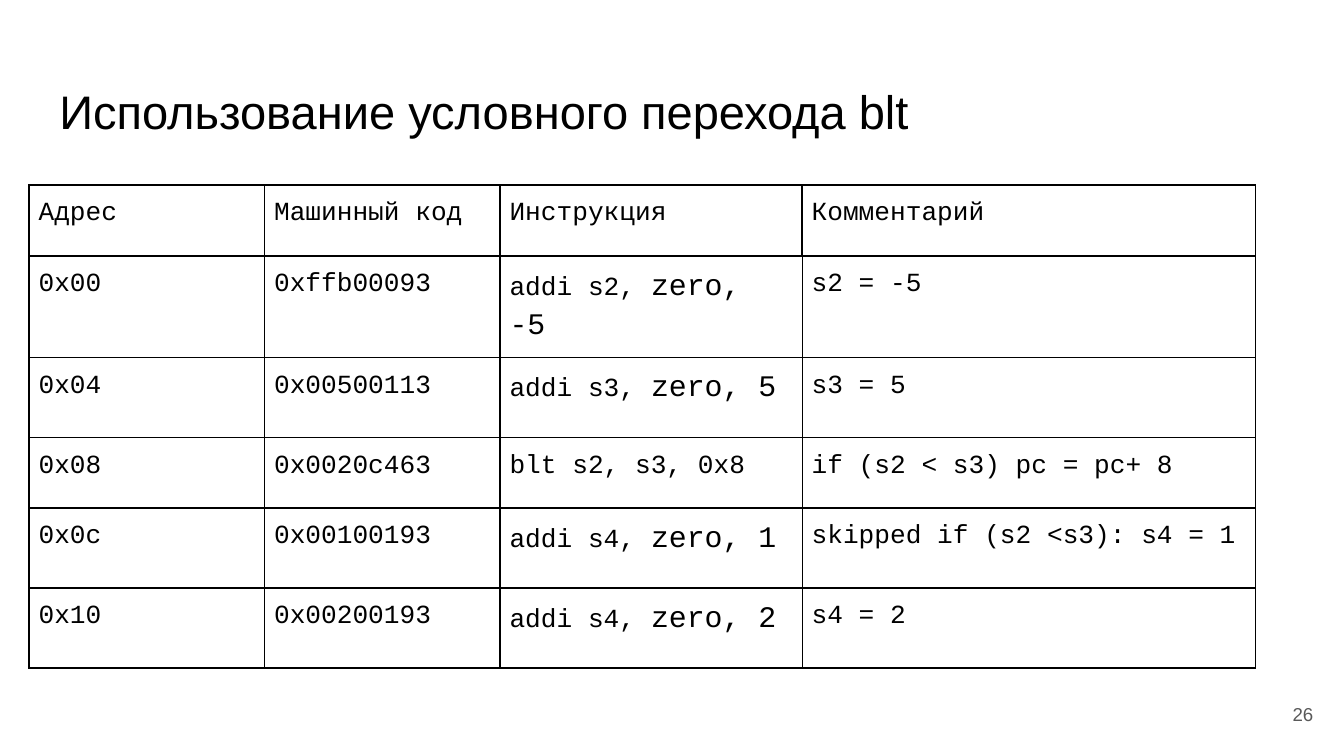
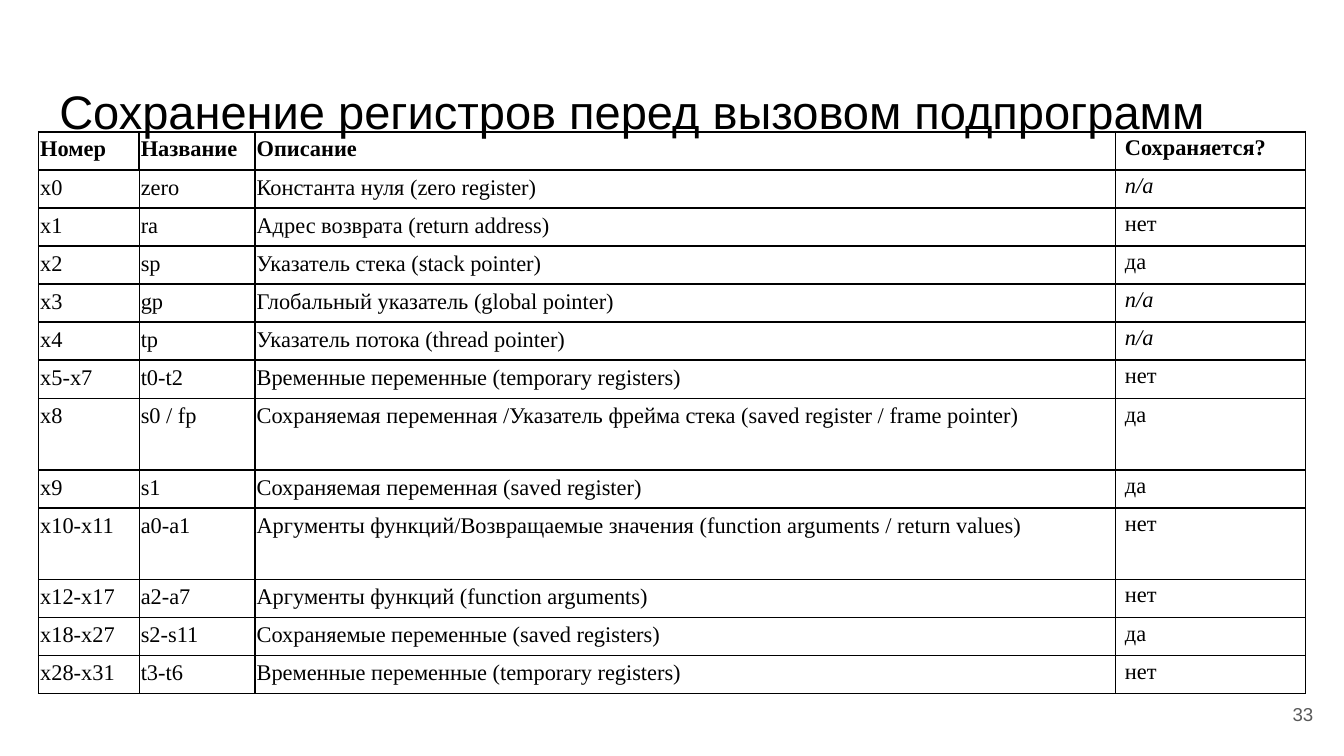
from lxml import etree
from pptx import Presentation
from pptx.dml.color import RGBColor
from pptx.enum import text as text_enum
from pptx.oxml import ns
from pptx.util import Cm, Pt

BLACK, GREY = "000000", "595959"
TITLE_BOX = (0.87, 1.24, 23.67, 1.59)
NUMBER_BOX = (23.55, 12.95, 1.52, 1.09)
ALIGN = text_enum.PP_ALIGN
ANCHOR = text_enum.MSO_ANCHOR

INSTRUCTIONS = [
    ("Адрес", "Машинный код", "Инструкция", "Комментарий"),
    ("0x00", "0xffb00093", "addi s2, zero, -5", "s2 = -5"),
    ("0x04", "0x00500113", "addi s3, zero, 5", "s3 = 5"),
    ("0x08", "0x0020c463", "blt s2, s3, 0x8", "if (s2 < s3) pc = pc+ 8"),
    ("0x0c", "0x00100193", "addi s4, zero, 1", "skipped if (s2 <s3): s4 = 1"),
    ("0x10", "0x00200193", "addi s4, zero, 2", "s4 = 2"),
]

REGISTERS = [
    ("Номер", "Название", "Описание", "Сохраняется?"),
    ("x0", "zero", "Константа нуля (zero register)", "n/a"),
    ("x1", "ra", "Адрес возврата (return address)", "нет"),
    ("x2", "sp", "Указатель стека (stack pointer)", "да"),
    ("x3", "gp", "Глобальный указатель (global pointer)", "n/a"),
    ("x4", "tp", "Указатель потока (thread pointer)", "n/a"),
    ("x5-x7", "t0-t2", "Временные переменные (temporary registers)", "нет"),
    ("x8", "s0 / fp", "Сохраняемая переменная /Указатель фрейма стека "
     "(saved register / frame pointer)", "да"),
    ("x9", "s1", "Сохраняемая переменная (saved register)", "да"),
    ("x10-x11", "a0-a1", "Аргументы функций/Возвращаемые значения "
     "(function arguments / return values)", "нет"),
    ("x12-x17", "a2-a7", "Аргументы функций (function arguments)", "нет"),
    ("x18-x27", "s2-s11", "Сохраняемые переменные (saved registers)", "да"),
    ("x28-x31", "t3-t6", "Временные переменные (temporary registers)", "нет"),
]


def color(value):
    return RGBColor.from_string(value)


def write(paragraph, content, size=14, font="Arial", fill=BLACK, bold=False,
          italic=False, align=ALIGN.LEFT, spacing=1.0):
    """Append a formatted run to the paragraph."""
    paragraph.alignment = align
    paragraph.line_spacing = spacing
    run = paragraph.add_run()
    run.text = content
    run.font.size = Pt(size)
    run.font.name = font
    run.font.bold = bold
    run.font.italic = italic
    run.font.color.rgb = color(fill)


def set_margins(holder, horizontal, vertical):
    holder.margin_left = holder.margin_right = Cm(horizontal)
    holder.margin_top = holder.margin_bottom = Cm(vertical)


def set_borders(cell, left, right):
    """Draw black borders; top and bottom are always 1 pt."""
    properties = cell._tc.get_or_add_tcPr()
    weights = {"lnL": left, "lnR": right, "lnT": 1, "lnB": 1}
    for position, (tag, weight) in enumerate(weights.items()):
        line = etree.Element(ns.qn(f"a:{tag}"), w=str(Pt(weight)))
        fill = etree.SubElement(line, ns.qn("a:solidFill"))
        etree.SubElement(fill, ns.qn("a:srgbClr"), val=BLACK)
        properties.insert(position, line)


def add_slide(presentation, title, number):
    slide = presentation.slides.add_slide(presentation.slide_layouts[5])
    heading = slide.shapes.title
    heading.left, heading.top, heading.width, heading.height = map(Cm, TITLE_BOX)
    frame = heading.text_frame
    frame.auto_size = text_enum.MSO_AUTO_SIZE.NONE
    frame.vertical_anchor = ANCHOR.TOP
    set_margins(frame, 0.25, 0.32)
    write(frame.paragraphs[0], title, size=25.2)

    frame = slide.shapes.add_textbox(*map(Cm, NUMBER_BOX)).text_frame
    frame.word_wrap = True
    frame.vertical_anchor = ANCHOR.MIDDLE
    set_margins(frame, 0.25, 0.25)
    write(frame.paragraphs[0], str(number), size=10, fill=GREY, align=ALIGN.RIGHT)
    return slide


def add_grid(slide, left, top, widths, heights, rows, fill_cell):
    """Add a bordered table; fill_cell(cell, content, row, column) sets its text."""
    table = slide.shapes.add_table(
        len(rows), len(widths), Cm(left), Cm(top),
        Cm(sum(widths)), Cm(sum(heights))).table
    table.first_row = table.horz_banding = False
    for column, width in zip(table.columns, widths):
        column.width = Cm(width)
    for row, height in zip(table.rows, heights):
        row.height = Cm(height)
    last = len(widths) - 1
    for r, row in enumerate(rows):
        inner = 0.75 if r else 1
        for c, content in enumerate(row):
            cell = table.cell(r, c)
            cell.fill.background()
            set_borders(cell, inner if c else 1, inner if c < last else 1)
            fill_cell(cell, content, r, c)


def fill_instruction(cell, content, row, column):
    set_margins(cell, 0.18, 0.18)
    start, zero, end = content.partition("zero")
    code = {"font": "Courier New", "spacing": 1.15}
    write(cell.text_frame.paragraphs[0], start, **code)
    if zero:
        write(cell.text_frame.paragraphs[0], zero + end, size=16, **code)


def fill_register(cell, content, row, column):
    if column == 3:
        set_margins(cell, 0.18, 0)
    else:
        set_margins(cell, 0.03, 0.03)
    write(cell.text_frame.paragraphs[0], content, size=12, font="Times New Roman",
          bold=row == 0, italic=content == "n/a", align=ALIGN.JUSTIFY, spacing=1.15)


def add_branch_slide(presentation):
    slide = add_slide(presentation, "Использование условного перехода blt", 26)
    heights = [1.51 if "zero" in row[2] else 1.34 for row in INSTRUCTIONS]
    add_grid(slide, 0.55, 3.5, [4.45, 4.45, 5.71, 8.57], heights,
             INSTRUCTIONS, fill_instruction)


def add_registers_slide(presentation):
    slide = add_slide(presentation, "Сохранение регистров перед вызовом подпрограмм", 33)
    heights = [1.35 if len(row[2]) > 60 else 0.72 for row in REGISTERS]
    add_grid(slide, 0.73, 2.49, [1.9, 2.19, 16.26, 3.59], heights,
             REGISTERS, fill_register)


def main():
    presentation = Presentation()
    presentation.slide_width, presentation.slide_height = Cm(25.4), Cm(14.29)
    add_branch_slide(presentation)
    add_registers_slide(presentation)
    presentation.save("out.pptx")


if __name__ == "__main__":
    main()
